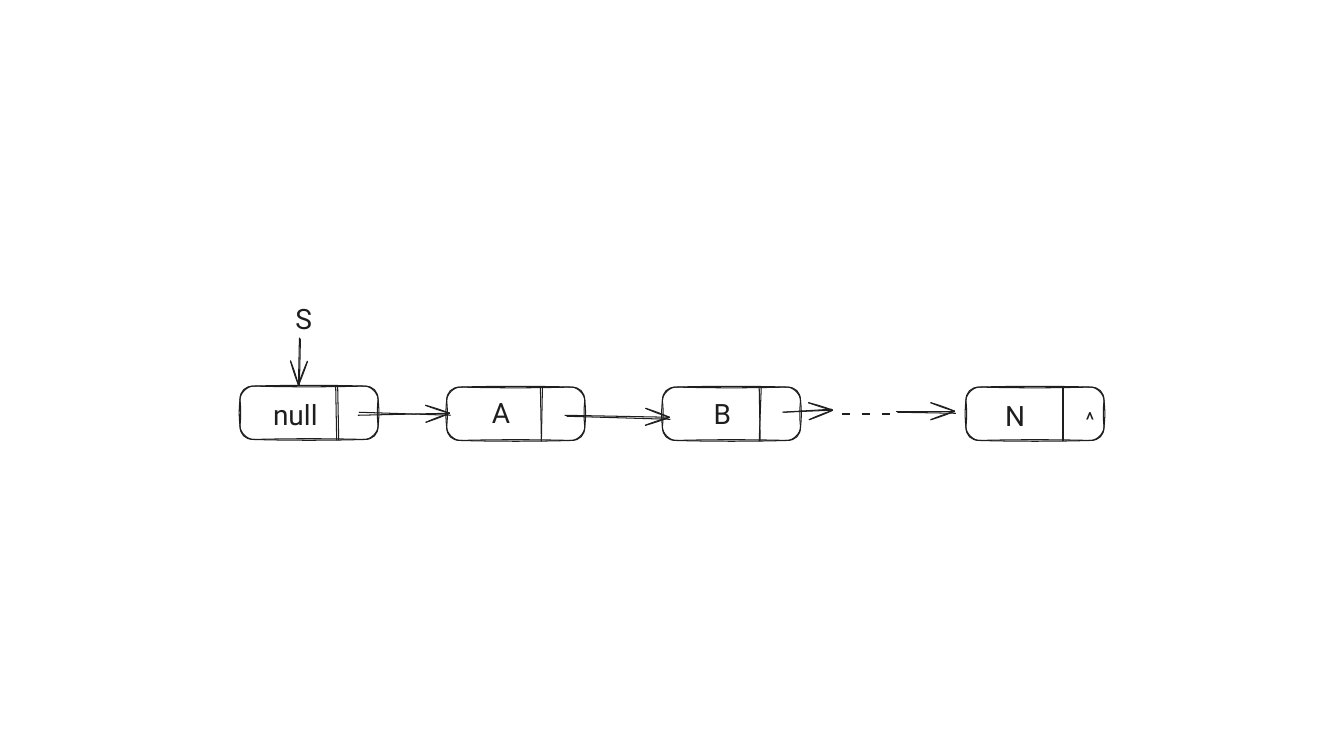
from dataclasses import dataclass
from math import hypot

from lxml.etree import SubElement
from pptx import Presentation
from pptx.dml.color import RGBColor
from pptx.enum.text import MSO_AUTO_SIZE
from pptx.oxml.ns import qn
from pptx.util import Inches, Pt


@dataclass(frozen=True)
class Theme:
    ink: RGBColor = RGBColor(0x1E, 0x1E, 0x1E)
    font: str = "Roboto"
    label_size: float = 20
    mark_size: float = 15
    line_width: float = 0.75
    dash_width: float = 1.13


THEME = Theme()
NODE_WIDTH, NODE_HEIGHT, CORNER = 1.37, 0.53, 0.135
HEAD_LENGTH, HEAD_HALF_WIDTH = 0.24, 0.085

# left, top, label (text, left, top, width, wrap), divider strokes (top x, bottom x)
NODES = [
    (2.38, 3.83, ("null", 2.61, 3.89, 0.66, False), [(3.33, 3.34), (3.35, 3.36)]),
    (4.43, 3.84, ("A", 4.78, 3.87, 0.49, True), [(5.36, 5.37), (5.38, 5.37)]),
    (6.57, 3.84, ("B", 6.98, 3.88, 0.36, False), [(7.53, 7.54), (7.55, 7.53)]),
    (9.58, 3.84, ("N", 9.87, 3.90, 0.41, False), [(10.55, 10.55), (10.54, 10.54)]),
]

# Two shaft strokes each; the second one ends at the tip of the head
NEXT_ARROWS = [
    [((3.56, 4.09), (4.47, 4.12)), ((3.55, 4.12), (4.46, 4.10))],
    [((5.62, 4.13), (6.65, 4.16)), ((5.60, 4.12), (6.64, 4.14))],
    [((7.77, 4.09), (8.25, 4.06)), ((7.76, 4.09), (8.26, 4.07))],
    [((8.90, 4.09), (9.48, 4.10)), ((8.89, 4.08), (9.47, 4.08))],
]
START_ARROW = [((2.98, 3.36), (2.97, 3.83)), ((2.97, 3.35), (2.96, 3.82))]


def stroke(start, end, bow=0.0):
    """Bezier points from start to end, swaying to one side by the bow."""
    dx, dy = end[0] - start[0], end[1] - start[1]
    length = hypot(dx, dy)
    sway = (-dy / length * bow, dx / length * bow)
    controls = [(start[0] + dx * part + sway[0], start[1] + dy * part + sway[1])
                for part in (0.33, 0.67)]
    return [start, *controls, end]


def rounded_outline(left, top, bow):
    right, bottom = left + NODE_WIDTH, top + NODE_HEIGHT
    corners = [(left, top), (right, top), (right, bottom), (left, bottom)]
    directions = [(1, 0), (0, 1), (-1, 0), (0, -1)]
    pull = CORNER * 0.45 - bow
    points = [(left, top + CORNER)]
    for index, (x, y) in enumerate(corners):
        before, after = directions[index - 1], directions[index]
        next_x, next_y = corners[(index + 1) % 4]
        arc_end = (x + after[0] * CORNER, y + after[1] * CORNER)
        edge_end = (next_x - after[0] * CORNER, next_y - after[1] * CORNER)
        points += [(x - before[0] * pull, y - before[1] * pull),
                   (x + after[0] * pull, y + after[1] * pull)]
        points += stroke(arc_end, edge_end, bow)
    return points


def bend_segments(shape):
    """Turn every three line segments into one Bezier curve."""
    lines = list(shape._element.iter(qn("a:lnTo")))
    for index in range(0, len(lines), 3):
        trio = lines[index:index + 3]
        curve = SubElement(trio[0].getparent(), qn("a:cubicBezTo"))
        trio[0].addprevious(curve)
        for line in trio:
            curve.append(line[0])
            line.getparent().remove(line)


def add_sketch(slide, strokes, width=THEME.line_width):
    """Draw all strokes as one open, unfilled freeform."""
    (first, *rest), *others = [[(Inches(x), Inches(y)) for x, y in points]
                               for points in strokes]
    builder = slide.shapes.build_freeform(*first)
    builder.add_line_segments(rest, close=False)
    for start, *following in others:
        builder.move_to(*start)
        builder.add_line_segments(following, close=False)
    shape = builder.convert_to_shape()
    bend_segments(shape)
    shape.shadow.inherit = False
    shape.fill.background()
    shape.line.color.rgb = THEME.ink
    shape.line.width = Pt(width)
    return shape


def add_label(slide, text, left, top, width, wrap=False, height=0.44, size=THEME.label_size):
    box = slide.shapes.add_textbox(Inches(left), Inches(top), Inches(width), Inches(height))
    box.text_frame.word_wrap = wrap
    box.text_frame.auto_size = MSO_AUTO_SIZE.SHAPE_TO_FIT_TEXT
    run = box.text_frame.paragraphs[0].add_run()
    run.text = text
    for name, value in {"name": THEME.font, "size": Pt(size)}.items():
        setattr(run.font, name, value)
    run.font.color.rgb = THEME.ink


def add_node(slide, left, top, label, divider):
    add_sketch(slide, [rounded_outline(left, top, bow) for bow in (0.01, -0.01)])
    add_label(slide, *label)
    add_sketch(slide, [stroke((upper, top + 0.01), (lower, top + NODE_HEIGHT + 0.01))
                       for upper, lower in divider])


def add_arrow(slide, shaft):
    start, tip = shaft[-1]
    dx, dy = tip[0] - start[0], tip[1] - start[1]
    length = hypot(dx, dy)
    dx, dy = dx / length, dy / length
    parts = [add_sketch(slide, [stroke(*ends) for ends in shaft])]
    for side in (HEAD_HALF_WIDTH, -HEAD_HALF_WIDTH):
        barb = (tip[0] - dx * HEAD_LENGTH - dy * side,
                tip[1] - dy * HEAD_LENGTH + dx * side)
        parts.append(add_sketch(slide, [stroke(barb, tip, bow) for bow in (0.005, -0.005)]))
    slide.shapes.add_group_shape(parts)


def add_dashed_line(slide, start, end):
    shape = add_sketch(slide, [stroke(start, end)], THEME.dash_width)
    dashes = SubElement(shape._element.spPr.find(qn("a:ln")), qn("a:custDash"))
    SubElement(dashes, qn("a:ds"), d="500000", sp="760000")


def main():
    presentation = Presentation()
    presentation.slide_width = Inches(13.33)
    presentation.slide_height = Inches(7.5)
    slide = presentation.slides.add_slide(presentation.slide_layouts[6])
    for node in NODES:
        add_node(slide, *node)
    for shaft in NEXT_ARROWS:
        add_arrow(slide, shaft)
    add_dashed_line(slide, (8.35, 4.11), (8.87, 4.11))
    add_label(slide, "S", 2.83, 2.94, 0.35)
    add_arrow(slide, START_ARROW)
    add_label(slide, "^", 10.67, 3.98, 0.35, height=0.38, size=THEME.mark_size)
    presentation.save("out.pptx")


if __name__ == "__main__":
    main()
